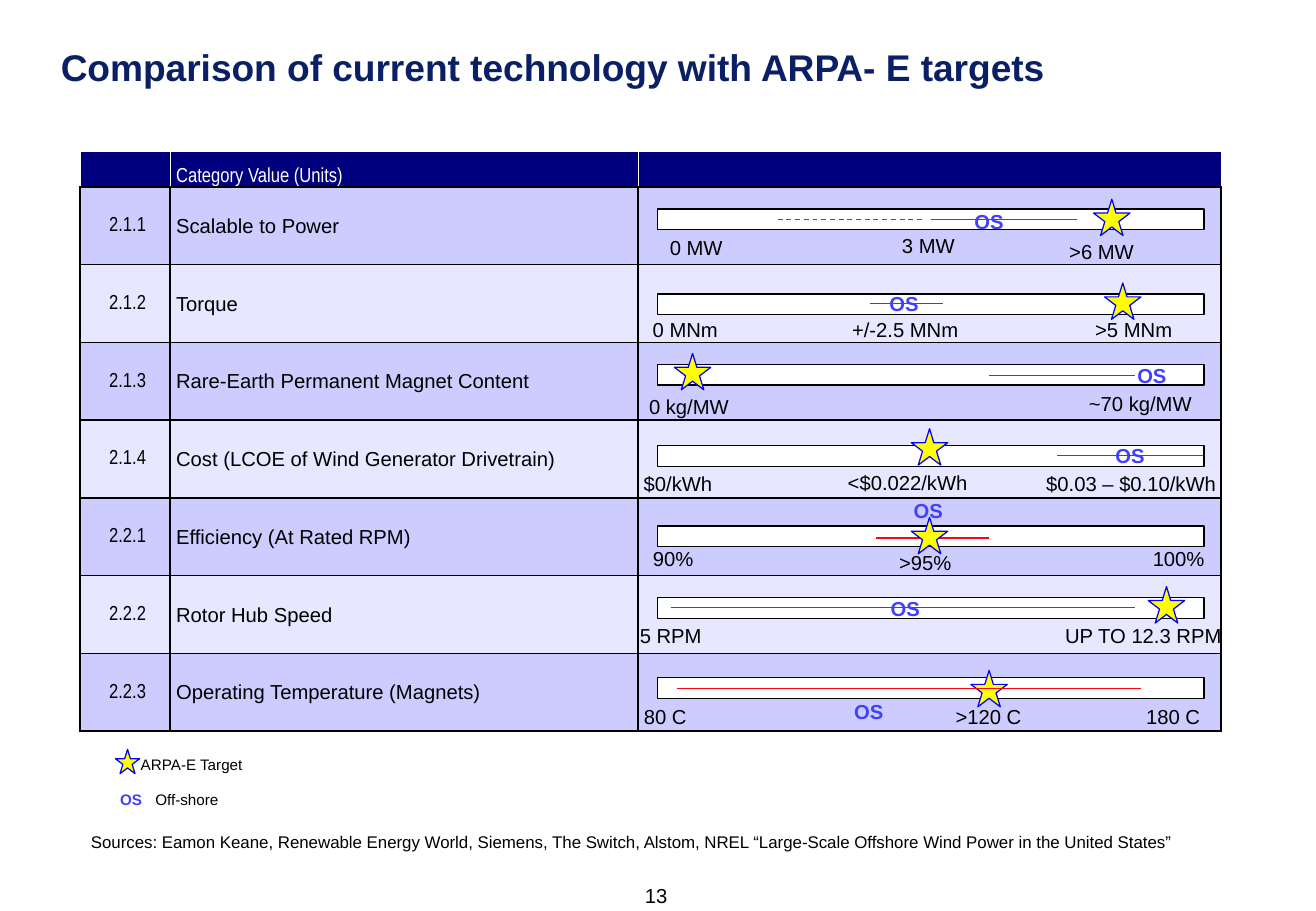
from lxml import etree
from pptx import Presentation, util as u
from pptx.dml.color import RGBColor
from pptx.enum import dml, shapes, text
from pptx.oxml.ns import qn

UNIT = u.Inches(0.01)
CENTER, LEFT = text.PP_ALIGN.CENTER, text.PP_ALIGN.LEFT
BLACK, WHITE, NAVY, OS_BLUE = "000000", "FFFFFF", "00007F", "4040FF"
BANDS = "CCCCFF", "E7E7FF"
COLUMNS = [74, 385] + [96] * 5
HEADER_ROW, BODY_ROW = 29, 64
GAUGE_LEFT, GAUGE_WIDTH, GAUGE_HEIGHT = 541, 450, 17

CATEGORIES = [
    ("2.1.1", "Scalable to Power", 172, [
        ("star", 900, 164), ("label", ">6 MW", 864, 192, 85),
        ("label", "0 MW", 535, 189, 76), ("line", 766, 886, 181),
        ("os", 787, 167), ("label", "3 MW", 728, 187, 72),
        ("line", 640, 760, 181, True)]),
    ("2.1.2", "Torque", 242, [
        ("star", 909, 233), ("label", ">5 MNm", 891, 256, 84),
        ("line", 716, 776, 250), ("label", "+/-2.5 MNm", 681, 256, 128),
        ("label", "0 MNm", 522, 256, 84), ("os", 717, 235)]),
    ("2.1.3", "Rare-Earth Permanent Magnet Content", 300, [
        ("star", 555, 291), ("label", "0 kg/MW", 519, 320, 96),
        ("label", "~70 kg/MW", 880, 317, 117),
        ("os", 921, 294), ("line", 814, 934, 309)]),
    ("2.1.4", "Cost (LCOE of Wind Generator Drivetrain)", 367, [
        ("star", 750, 353), ("label", "<$0.022/kWh", 677, 382, 140),
        ("os", 903, 360), ("label", "$0.03 – $0.10/kWh", 841, 383, 180),
        ("line", 870, 990, 375), ("label", "$0/kWh", 513, 383, 90)]),
    ("2.2.1", "Efficiency (At Rated RPM)", 433, [
        ("label", ">95%", 727, 448, 69), ("os", 737, 405),
        ("line", 721, 814, 443), ("label", "90%", 519, 445, 70),
        ("label", "100%", 930, 445, 80), ("star", 750, 426)]),
    ("2.2.2", "Rotor Hub Speed", 492, [
        ("star", 945, 483), ("label", "UP TO 12.3 RPM", 856, 508, 170),
        ("label", "5 RPM", 512, 508, 80), ("line", 552, 934, 500),
        ("os", 718, 486)]),
    ("2.2.3", "Operating Temperature (Magnets)", 558, [
        ("star", 799, 552), ("label", ">120 C", 772, 575, 83),
        ("line", 557, 939, 567), ("label", "180 C", 924, 575, 83),
        ("label", "80 C", 506, 575, 83), ("os", 688, 571)]),
]


def color(value):
    return RGBColor.from_string(value)


def grid(*cells):
    return [int(c * UNIT) for c in cells]


def put(obj, **values):
    for name, value in values.items():
        setattr(obj, name, value)


def write(tf, content, size=12, fill=BLACK, font="Arial", bold=False, align=CENTER):
    p = tf.paragraphs[0]
    p.alignment = align
    r = p.add_run()
    r.text = content
    put(r.font, size=u.Pt(size), name=font, bold=bold)
    r.font.color.rgb = color(fill)
    return p


def label(s, content, x, y, w, h=30, wrap=False, **style):
    tf = s.shapes.add_textbox(*grid(x, y, w, h)).text_frame
    tf.word_wrap = wrap
    write(tf, content, **style)


def offshore(s, x, y):
    label(s, "OS", x, y, 54, fill=OS_BLUE, bold=True)


def shape(s, kind, box, fill, line):
    sp = s.shapes.add_shape(kind, *grid(*box))
    sp.shadow.inherit = False
    sp.fill.solid()
    sp.fill.fore_color.rgb = color(fill)
    sp.line.color.rgb = color(line)
    sp.line.width = u.Pt(0.75)


def star(s, x, y, size=30):
    shape(s, shapes.MSO_SHAPE.STAR_5_POINT, (x, y, size, size), "FFFF00", "0000FF")


def span_line(s, x1, x2, y, dashed=False):
    c = s.shapes.add_connector(shapes.MSO_CONNECTOR.STRAIGHT, *grid(x1, y, x2, y))
    c.line.color.rgb = color("FC050E")
    c.line.width = u.Pt(0.75)
    if dashed:
        c.line.dash_style = dml.MSO_LINE.DASH
    etree.SubElement(c._element.spPr, qn("a:effectLst"))


def borders(cell, line, width, sides):
    tc_pr = cell._tc.get_or_add_tcPr()
    for side in "LRTB":
        ln = etree.SubElement(tc_pr, qn("a:ln" + side), w=str(u.Pt(width)))
        if side in sides:
            fill = etree.SubElement(ln, qn("a:solidFill"))
            etree.SubElement(fill, qn("a:srgbClr"), val=line)
        else:
            etree.SubElement(ln, qn("a:noFill"))


def format_cell(cell, row, col):
    header = row == 0
    sides = "TB" + ("L" if col < 3 else "") + ("R" if col in (0, 1, 6) else "")
    if header:
        borders(cell, WHITE, 0.5, sides)
    else:
        borders(cell, BLACK, 1, sides)
    cell.fill.solid()
    cell.fill.fore_color.rgb = color(NAVY if header else BANDS[(row - 1) % 2])
    anchor = text.MSO_ANCHOR.BOTTOM if header else text.MSO_ANCHOR.MIDDLE
    put(cell, margin_left=u.Inches(0.05), margin_right=u.Inches(0.01),
        margin_top=u.Inches(0.01), margin_bottom=0, vertical_anchor=anchor)
    cell.text_frame.paragraphs[0].font.size = u.Pt(12)


def category_table(s):
    count = len(CATEGORIES)
    box = grid(66, 125, sum(COLUMNS), HEADER_ROW + BODY_ROW * count)
    t = s.shapes.add_table(count + 1, len(COLUMNS), *box).table
    put(t, first_row=False, horz_banding=False)
    for col, width in zip(t.columns, COLUMNS):
        col.width = int(width * UNIT)
    for i, row in enumerate(t.rows):
        row.height = int((BODY_ROW if i else HEADER_ROW) * UNIT)
        for j, cell in enumerate(row.cells):
            format_cell(cell, i, j)
    t.cell(0, 2).merge(t.cell(0, 6))
    write(t.cell(0, 1).text_frame, "Category Value (Units)",
          fill=WHITE, font="Arial Narrow", align=LEFT)
    for i, (code, name, *_) in enumerate(CATEGORIES, 1):
        write(t.cell(i, 0).text_frame, code, font="Arial Narrow")
        write(t.cell(i, 1).text_frame, name, align=LEFT)


def gauges(s):
    draw = {"star": star, "line": span_line, "os": offshore, "label": label}
    for _, _, top, marks in CATEGORIES:
        shape(s, shapes.MSO_SHAPE.RECTANGLE,
              (GAUGE_LEFT, top, GAUGE_WIDTH, GAUGE_HEIGHT), WHITE, BLACK)
        for kind, *values in marks:
            draw[kind](s, *values)


def title(s, content):
    sp = s.shapes.title
    put(sp, **dict(zip(("left", "top", "width", "height"), grid(50, 41, 983, 92))))
    tf = sp.text_frame
    put(tf, margin_left=0, margin_right=0, margin_top=0, margin_bottom=0,
        vertical_anchor=text.MSO_ANCHOR.TOP, word_wrap=True)
    p = write(tf, content, size=22, fill="0B1F65", bold=True, align=LEFT)
    p.line_spacing = 0.9


def legend(s):
    star(s, 95, 617, 20)
    label(s, "ARPA-E Target", 106, 617, 115, 24, size=9, align=LEFT)
    label(s, "OS", 89, 646, 44, 24, size=9, fill=OS_BLUE, bold=True, align=LEFT)
    label(s, "Off-shore", 118, 646, 82, 24, size=9, align=LEFT)


def main():
    prs = Presentation()
    put(prs, slide_width=u.Inches(10.83), slide_height=u.Inches(7.5))
    s = prs.slides.add_slide(prs.slide_layouts[5])
    title(s, "Comparison of current technology with ARPA- E targets")
    category_table(s)
    gauges(s)
    legend(s)
    label(s, "Sources: Eamon Keane, Renewable Energy World, Siemens, The Switch, Alstom, "
          "NREL “Large-Scale Offshore Wind Power in the United States”",
          65, 680, 976, 27, wrap=True, size=10, align=LEFT)
    label(s, "13", 515, 722, 50, 30)
    prs.save("out.pptx")


if __name__ == "__main__":
    main()
